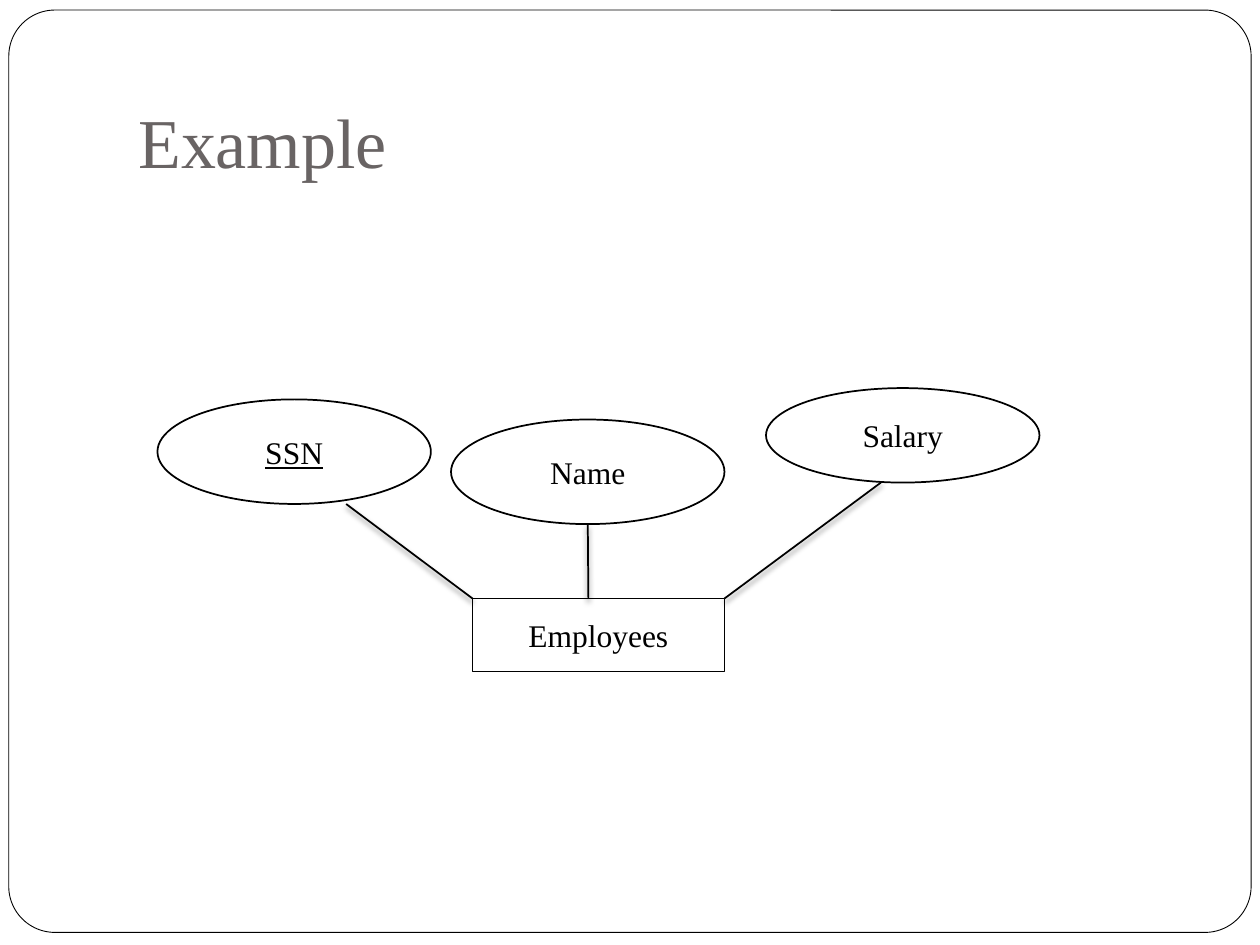
import pptx
import pptx.util
import pptx.dml.color
import pptx.enum.shapes
import pptx.enum.text
import pptx.oxml
import pptx.oxml.ns

FONT = "Times New Roman"
KIND = pptx.enum.shapes.MSO_SHAPE
ANCHOR = pptx.enum.text.MSO_ANCHOR
ALIGN = pptx.enum.text.PP_ALIGN
WIDE, HIGH = 10, 7.5

# Content: boxes as left, top, width, height in inches
TITLE = ("Example", (1, 0.3, 8.5, 1.25))
FRAME = (0.07, 0.08, 9.86, 7.32)
ENTITY = ("Employees", (3.75, 4.75, 2, 0.58))
# Attribute, box, key, share of the ellipse and of the entity where its link ends
ATTRS = [
    ("Salary", (6.08, 3.08, 2.17, 0.75), False, 0.42, 1),
    ("Name", (3.58, 3.33, 2.17, 0.83), False, 0.5, 0.46),
    ("SSN", (1.25, 3.17, 2.17, 0.83), True, 0.69, 0),
]
SHADOW = (
    '<a:effectLst %s><a:outerShdw blurRad="38100" dist="25400" dir="5400000" '
    'rotWithShape="0"><a:srgbClr val="000000"><a:alpha val="50000"/>'
    '</a:srgbClr></a:outerShdw></a:effectLst>' % pptx.oxml.ns.nsdecls("a")
)


def color(code):
    return pptx.dml.color.RGBColor.from_string(code)


def inches(nums):
    return [pptx.util.Inches(n) for n in nums]


def write(shape, text, size, code, align, anchor, under=None):
    frame = shape.text_frame
    frame.text = text
    frame.word_wrap = True
    frame.vertical_anchor = anchor
    para = frame.paragraphs[0]
    para.alignment = align
    font = para.runs[0].font
    font.name, font.size, font.underline = FONT, pptx.util.Pt(size), under
    font.color.rgb = color(code)


def draw(shapes, kind, box, fill=None, width=1):
    shape = shapes.add_shape(kind, *inches(box))
    shape.shadow.inherit = False
    if fill:
        shape.fill.solid()
        shape.fill.fore_color.rgb = color(fill)
    else:
        shape.fill.background()
    shape.line.color.rgb = color("000000")
    shape.line.width = pptx.util.Pt(width)
    return shape


def label(shape, text, under=None):
    write(shape, text, 18, "000000", ALIGN.CENTER, ANCHOR.MIDDLE, under)


def link(shapes, start, end):
    line = shapes.add_connector(
        pptx.enum.shapes.MSO_CONNECTOR.STRAIGHT, *inches(start + end))
    line.line.color.rgb = color("000000")
    line.line.width = pptx.util.Pt(1)
    line._element.spPr.append(pptx.oxml.parse_xml(SHADOW))


def main():
    deck = pptx.Presentation()
    deck.slide_width, deck.slide_height = inches((WIDE, HIGH))
    slide = deck.slides.add_slide(deck.slide_layouts[6])

    # Rounded frame and title
    frame = draw(slide.shapes, KIND.ROUNDED_RECTANGLE, FRAME, "FFFFFF", 0.5)
    frame.adjustments[0] = 0.05
    text, box = TITLE
    title = slide.shapes.add_textbox(*inches(box))
    write(title, text, 40, "696464", ALIGN.LEFT, ANCHOR.BOTTOM)
    title.text_frame.margin_bottom = pptx.util.Inches(0.1)

    # Entity, its links, then its attributes
    group = slide.shapes.add_group_shape().shapes
    text, (left, top, width, _) = ENTITY
    label(draw(group, KIND.RECTANGLE, ENTITY[1], "FFFFFF"), text)
    for _, (x, y, w, h), _, share, spot in ATTRS:
        link(group, (left + width * spot, top), (x + w * share, y + h))
    for text, box, key, _, _ in ATTRS:
        label(draw(group, KIND.OVAL, box), text, key or None)

    deck.save("out.pptx")


if __name__ == "__main__":
    main()
